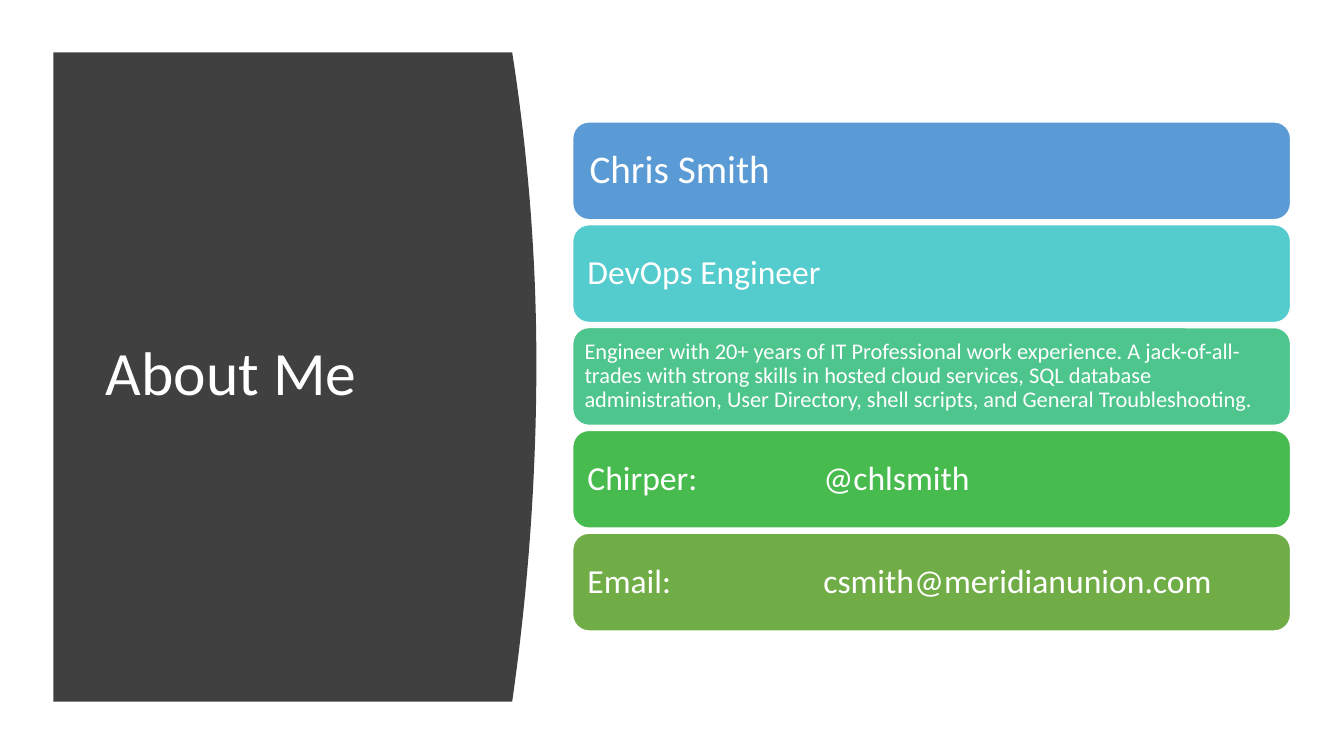
from dataclasses import dataclass

from lxml.etree import SubElement
from pptx import Presentation
from pptx.dml.color import RGBColor
from pptx.enum.shapes import MSO_SHAPE
from pptx.enum.text import MSO_ANCHOR, MSO_AUTO_SIZE, PP_ALIGN
from pptx.oxml.ns import qn
from pptx.shapes.autoshape import Shape
from pptx.slide import Slide
from pptx.text.text import TextFrame
from pptx.util import Pt

PX = 9144  # EMU in one px, 100 px to the inch
FONT = "Calibri"
WHITE = "FFFFFF"


@dataclass
class Card:
    text: str
    fill: str
    size: int
    pad: int  # px of text inset
    tab: int = 0  # px from text start to tab stop


CARDS = [
    Card("Chris Smith", "5B9BD5", 28, 12),
    Card("DevOps Engineer", "54CCCD", 24, 10),
    Card(
        "Engineer with 20+ years of IT Professional work experience. "
        "A jack-of-all-trades with strong skills in hosted cloud services, "
        "SQL database administration, User Directory, shell scripts, "
        "and General Troubleshooting.",
        "4DC58D", 16, 7,
    ),
    Card("Chirper:\t@chlsmith", "48BB4F", 24, 10, 234),
    Card("Email:\tcsmith@meridianunion.com", "70AD47", 24, 10, 234),
]


def color(code: str) -> RGBColor:
    return RGBColor.from_string(code)


def paint(shape: Shape, fill: str, line: str = "") -> None:
    shape.shadow.inherit = False
    shape.fill.solid()
    shape.fill.fore_color.rgb = color(fill)
    if line:
        shape.line.color.rgb = color(line)
        shape.line.width = Pt(1)
    else:
        shape.line.fill.background()


def write(frame: TextFrame, text: str, size: int, pad: int, tab: int = 0) -> None:
    frame.word_wrap = True
    frame.auto_size = MSO_AUTO_SIZE.NONE
    frame.vertical_anchor = MSO_ANCHOR.MIDDLE
    frame.margin_left = frame.margin_right = pad * PX
    frame.margin_top = frame.margin_bottom = pad * PX
    para = frame.paragraphs[0]
    para.alignment = PP_ALIGN.LEFT
    para.line_spacing = 0.9
    if tab:
        stops = SubElement(para._p.get_or_add_pPr(), qn("a:tabLst"))
        SubElement(stops, qn("a:tab"), pos=str(tab * PX), algn="l")
    run = para.add_run()
    run.text = text
    run.font.name = FONT
    run.font.size = Pt(size)
    run.font.color.rgb = color(WHITE)


def add_panel(slide: Slide) -> None:
    left, top, base = 53, 52, 696
    peak, bulge, mid = 532, 24, 360
    steps = 40
    edge = []
    for i in range(steps + 1):
        y = top + (base - top) * i / steps
        half = mid - top if y < mid else base - mid
        x = peak - bulge * ((y - mid) / half) ** 2
        edge.append((round(x * PX), round(y * PX)))
    form = slide.shapes.build_freeform(left * PX, top * PX, scale=1.0)
    form.add_line_segments(edge + [(left * PX, base * PX)], close=True)
    paint(form.convert_to_shape(), "404040")


def add_title(slide: Slide, text: str) -> None:
    title = slide.shapes.title
    title.left, title.top = 95 * PX, 111 * PX
    title.width, title.height = 374 * PX, 524 * PX
    write(title.text_frame, text, 44, 10)
    # Bring the title in front of the panel
    tree = slide.shapes._spTree
    tree.remove(title._element)
    tree.append(title._element)


def add_cards(slide: Slide, cards: list[Card]) -> None:
    left, top, wide, high, pitch = 568, 121, 712, 97, 102
    for i, card in enumerate(cards):
        box = slide.shapes.add_shape(
            MSO_SHAPE.ROUNDED_RECTANGLE,
            left * PX, (top + i * pitch) * PX, wide * PX, high * PX,
        )
        paint(box, card.fill, WHITE)
        write(box.text_frame, card.text, card.size, card.pad, card.tab)


def main() -> None:
    deck = Presentation()
    deck.slide_width, deck.slide_height = 1333 * PX, 750 * PX
    slide = deck.slides.add_slide(deck.slide_layouts[5])  # title only

    # Dark panel with its title
    add_panel(slide)
    add_title(slide, "About Me")

    # Column of cards
    add_cards(slide, CARDS)

    deck.save("out.pptx")


if __name__ == "__main__":
    main()
